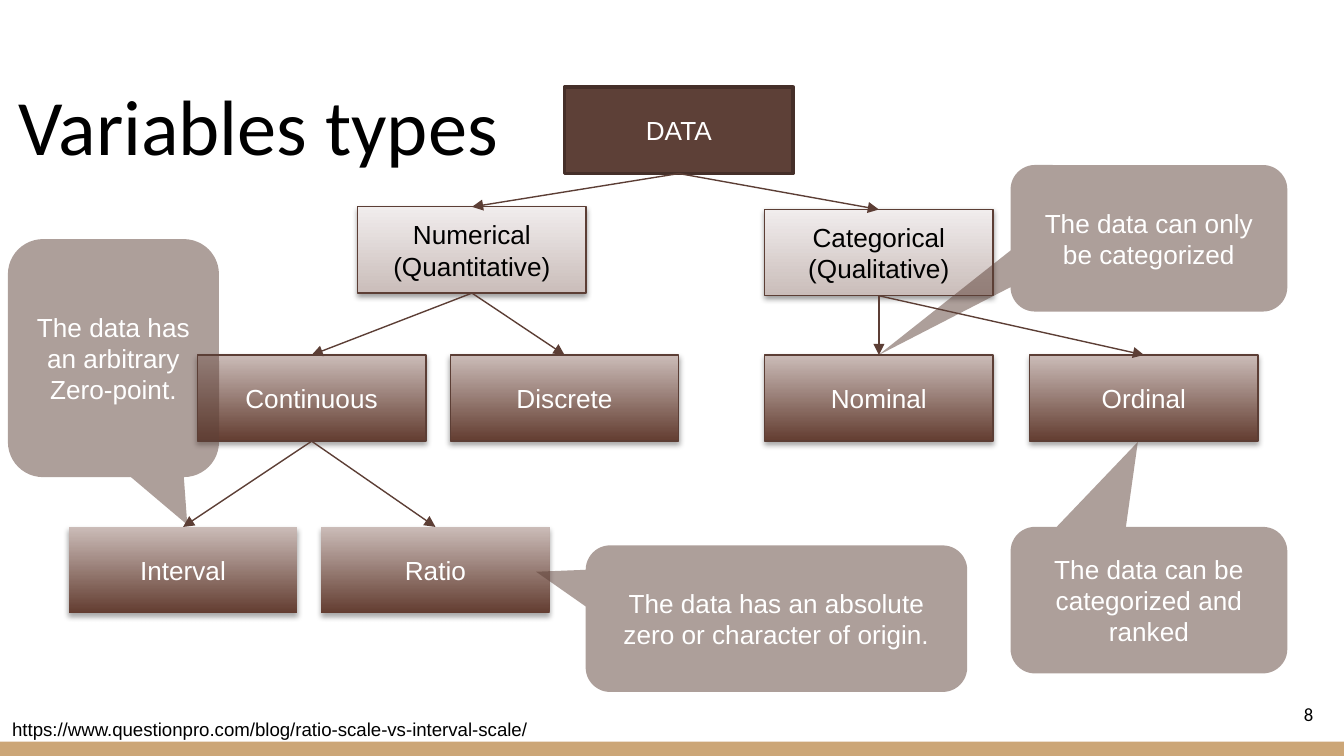
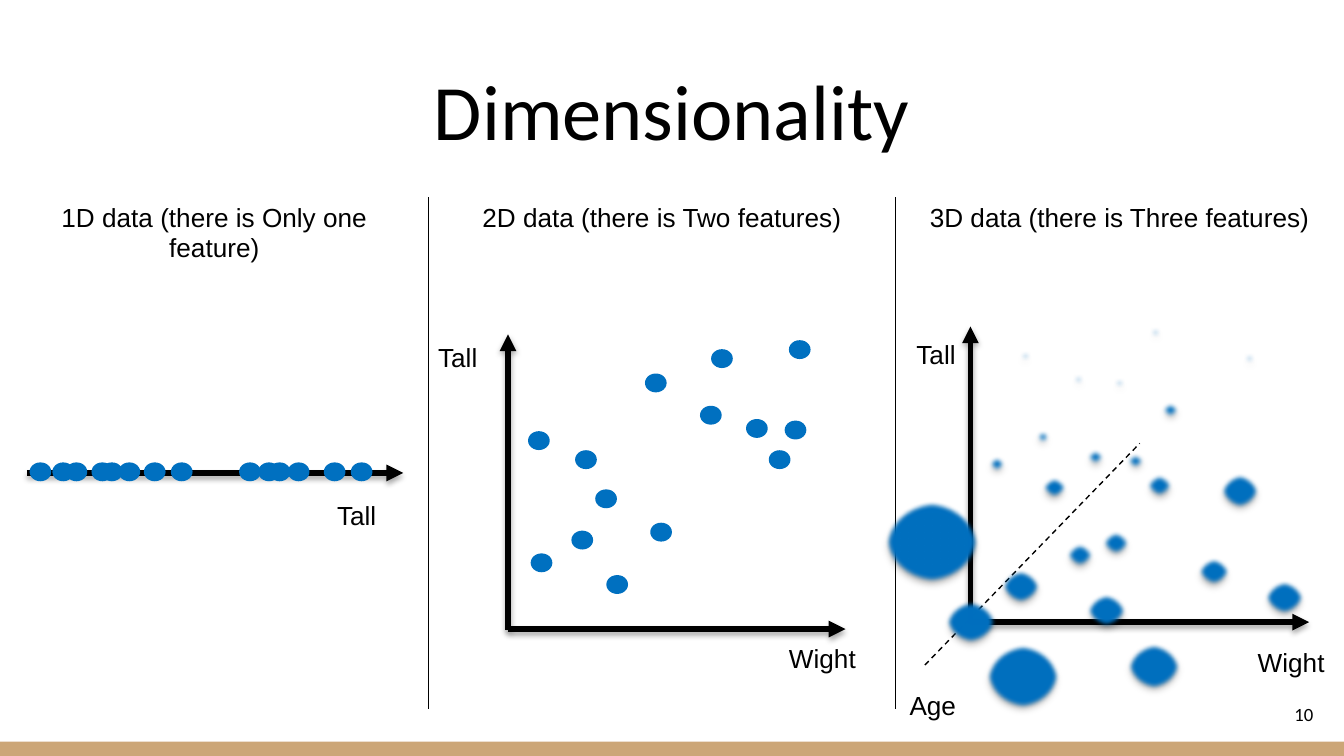
import pptx
import pptx.dml.color
import pptx.enum.dml
import pptx.enum.shapes
import pptx.enum.text
import pptx.oxml
import pptx.oxml.ns
import pptx.util
from lxml import etree

Cm = pptx.util.Cm
Pt = pptx.util.Pt
qn = pptx.oxml.ns.qn
SHAPE = pptx.enum.shapes.MSO_SHAPE
STRAIGHT = pptx.enum.shapes.MSO_CONNECTOR.STRAIGHT
ALIGN = pptx.enum.text.PP_ALIGN
ANCHOR = pptx.enum.text.MSO_ANCHOR

BLACK, WHITE = "000000", "FFFFFF"
BROWN, DARK_BROWN, EDGE = "5D4037", "452F29", "5C3E35"
BAND, DOT_BLUE = "CCA677", "0070C0"
PALE_GRADIENT = ("CABDBA", "F1EDED")
DARK_GRADIENT = ("633D31", "CBBCB8")
NO_TABLE_STYLE = "{2D5ABB26-0587-4C30-8999-92F81FD0307C}"

BOX_W, BOX_H = 4.32, 1.63
DOT_W, DOT_RATIO = 0.41, 0.87

# name: (text, left, top, gradient, outlined)
BOXES = {
    "numerical": ("Numerical\v(Quantitative)", 6.76, 3.91, PALE_GRADIENT, True),
    "categorical": ("Categorical\v(Qualitative)", 14.45, 3.96, PALE_GRADIENT, True),
    "nominal": ("Nominal", 14.45, 6.71, DARK_GRADIENT, True),
    "discrete": ("Discrete", 8.51, 6.71, DARK_GRADIENT, True),
    "interval": ("Interval", 1.3, 9.96, DARK_GRADIENT, False),
    "ordinal": ("Ordinal", 19.46, 6.71, DARK_GRADIENT, True),
    "continuous": ("Continuous", 3.73, 6.71, DARK_GRADIENT, True),
    "ratio": ("Ratio", 6.07, 9.96, DARK_GRADIENT, False),
}
CHILDREN = {
    "data": ("numerical", "categorical"),
    "numerical": ("continuous", "discrete"),
    "categorical": ("nominal", "ordinal"),
    "continuous": ("interval", "ratio"),
}
# text, (left, top, width, height), pointer offset
CALLOUTS = [
    ("The data can only be categorized", (19.1, 3.12, 5.23, 2.77), (-0.98, 0.8)),
    ("The data can be categorized and ranked", (19.1, 9.96, 5.23, 2.77), (-0.04, -1.08)),
    ("The data has an absolute zero or character of origin.",
     (11.07, 10.31, 7.21, 2.77), (-0.63, -0.32)),
    ("The data has an arbitrary Zero-point.", (0.15, 4.52, 3.99, 4.5), (0.35, 0.7)),
]

HEADINGS = [
    "1D data (there is Only one feature)",
    "2D data (there is Two features)",
    "3D data (there is Three features)",
]
DOTS_1D = [0.56, 0.99, 1.24, 1.73, 1.91, 2.24, 2.72,
           3.23, 4.52, 4.88, 5.08, 5.44, 6.12, 6.63]
DOTS_2D = [
    (10.8, 10.03), (12.29, 9.88), (10.87, 8.51), (11.25, 9.25), (11.46, 10.87),
    (10.03, 10.46), (9.98, 8.15), (14.1, 7.92), (13.23, 7.67), (12.19, 7.06),
    (14.53, 8.51), (14.83, 7.95), (13.44, 6.6), (14.91, 6.43),
]
# left, top, width: nearer dots are larger
DOTS_3D = [
    (20.5, 8.46, 0.41), (19.53, 8.1, 0.36), (21.92, 7.57, 0.41), (21.26, 8.53, 0.41),
    (19.66, 8.99, 0.53), (20.24, 7.04, 0.3), (18.64, 8.59, 0.41), (19.23, 6.6, 0.3),
    (21.69, 6.15, 0.3), (21.64, 8.94, 0.56), (21.01, 7.11, 0.3), (23.47, 6.65, 0.3),
    (18.9, 10.74, 0.79), (23.04, 8.94, 0.79), (20.52, 11.2, 0.79), (20.8, 10.01, 0.58),
    (23.88, 10.95, 0.79), (20.12, 10.24, 0.58), (22.61, 10.52, 0.66), (16.71, 9.47, 1.8),
    (17.86, 11.33, 0.99), (18.62, 12.17, 1.42), (21.29, 12.14, 1.04),
]
AXIS_LABELS = [("Wight", 14.66, 12.01), ("Tall", 6.12, 9.32), ("Tall", 8.03, 6.32),
               ("Tall", 17.07, 6.27), ("Wight", 23.52, 12.09), ("Age", 16.94, 12.9)]


def rgb(color):
    return pptx.dml.color.RGBColor.from_string(color)


def child(parent, tag, **attrs):
    return etree.SubElement(parent, qn(tag), {k: str(v) for k, v in attrs.items()})


def write(tf, text, size=14, color=BLACK, font="Arial", align=ALIGN.LEFT):
    tf.text = text
    for p in tf.paragraphs:
        p.alignment = align
        for r in p.runs:
            r.font.size = Pt(size)
            r.font.name = font
            r.font.color.rgb = rgb(color)


def set_insets(tf, inset):
    tf.margin_left = tf.margin_right = tf.margin_top = tf.margin_bottom = Cm(inset)


def add_shadow(sp, alpha, blur, dist):
    """Drop a soft shadow straight down; alpha in percent, lengths in points."""
    effects = sp._element.spPr.find(qn("a:effectLst"))
    shadow = child(effects, "a:outerShdw", blurRad=Pt(blur), dist=Pt(dist),
                   dir=5400000, rotWithShape=0)
    child(child(shadow, "a:srgbClr", val=BLACK), "a:alpha", val=alpha * 1000)


def add_shape(shapes, kind, left, top, width, height, fill=None, line=None, weight=0.75):
    sp = shapes.add_shape(kind, Cm(left), Cm(top), Cm(width), Cm(height))
    sp.shadow.inherit = False
    if fill:
        sp.fill.solid()
        sp.fill.fore_color.rgb = rgb(fill)
    if line:
        sp.line.color.rgb = rgb(line)
        sp.line.width = Pt(weight)
    else:
        sp.line.fill.background()
    return sp


def label_shape(sp, text, color=WHITE):
    tf = sp.text_frame
    tf.word_wrap = True
    tf.vertical_anchor = ANCHOR.MIDDLE
    write(tf, text, color=color, align=ALIGN.CENTER)


def add_text(shapes, text, left, top, width, height, **style):
    tf = shapes.add_textbox(Cm(left), Cm(top), Cm(width), Cm(height)).text_frame
    tf.word_wrap = True
    write(tf, text, **style)
    return tf


def add_line(shapes, start, end, color, weight, arrow=True):
    cx = shapes.add_connector(STRAIGHT, *(Cm(v) for v in start + end))
    cx.line.color.rgb = rgb(color)
    cx.line.width = Pt(weight)
    if arrow:
        child(cx.line._get_or_add_ln(), "a:tailEnd", type="triangle")
    child(cx._element.spPr, "a:effectLst")
    return cx


def add_axis(shapes, start, end):
    add_shadow(add_line(shapes, start, end, BLACK, 3), 35, 3.1, 1.8)


def add_box(shapes, text, left, top, gradient, outlined):
    sp = add_shape(shapes, SHAPE.RECTANGLE, left, top, BOX_W, BOX_H,
                   line=EDGE if outlined else None)
    sp.fill.gradient()
    sp.fill.gradient_angle = 90
    for stop, color in zip(sp.fill.gradient_stops, gradient):
        stop.color.rgb = rgb(color)
    pale = gradient == PALE_GRADIENT
    add_shadow(sp, 38 if pale else 35, 3.1, 1.6 if pale else 1.8)
    label_shape(sp, text, BLACK if pale else WHITE)
    return sp


def add_callout(shapes, text, bounds, pointer):
    sp = add_shape(shapes, SHAPE.ROUNDED_RECTANGULAR_CALLOUT, *bounds, fill=BROWN)
    sp.adjustments[0], sp.adjustments[1] = pointer
    color = sp._element.spPr.find(qn("a:solidFill")).find(qn("a:srgbClr"))
    child(color, "a:alpha", val=50000)
    label_shape(sp, text)


def add_dot(shapes, left, top, width=DOT_W):
    return add_shape(shapes, SHAPE.OVAL, left, top, width, width * DOT_RATIO, fill=DOT_BLUE)


def add_soft_dot(shapes, left, top, width):
    sp = add_dot(shapes, left, top, width)
    add_shadow(sp, 32, 3.5, 2.2)
    child(sp._element.spPr.find(qn("a:effectLst")), "a:softEdge", rad=Pt(2.5))


def add_cell_border(cell, side):
    ln = etree.Element(qn("a:ln" + side), w=str(Pt(1)))
    child(child(ln, "a:solidFill"), "a:srgbClr", val=BLACK)
    cell._tc.get_or_add_tcPr().insert(0, ln)


def add_columns_table(shapes):
    frame = shapes.add_table(2, 3, Cm(0), Cm(3.73), Cm(25.4), Cm(9.68))
    for style in frame._element.iter(qn("a:tableStyleId")):
        style.text = NO_TABLE_STYLE
    table = frame.table
    table.first_row = table.horz_banding = False
    for column, width in zip(table.columns, (8.1, 8.82, 8.48)):
        column.width = Cm(width)
    for row, height in zip(table.rows, (1.8, 7.88)):
        row.height = Cm(height)
        for i, cell in enumerate(row.cells):
            cell.fill.background()
            if i < 2:
                add_cell_border(cell, "R")
            if i > 0:
                add_cell_border(cell, "L")
    for cell, heading in zip(table.rows[0].cells, HEADINGS):
        write(cell.text_frame, heading, align=ALIGN.CENTER)


def add_slide(prs, title, left, top, width):
    """Add a slide with its band and title placeholder."""
    slide = prs.slides.add_slide(prs.slide_layouts[5])
    add_shape(slide.shapes, SHAPE.RECTANGLE, 0, 14.02, 25.4, 0.27, fill=BAND)
    sp = slide.shapes.title
    sp.left, sp.top, sp.width, sp.height = Cm(left), Cm(top), Cm(width), Cm(2.31)
    tf = sp.text_frame
    tf.auto_size = pptx.enum.text.MSO_AUTO_SIZE.NONE
    tf.vertical_anchor = ANCHOR.BOTTOM
    set_insets(tf, 0.25)
    write(tf, title, size=42, font="Calibri", align=ALIGN.CENTER)
    return slide


def add_page_number(shapes, number):
    tf = add_text(shapes, number, 23.55, 12.95, 1.52, 1.09,
                  size=10, font="Calibri", align=ALIGN.RIGHT)
    tf.vertical_anchor = ANCHOR.MIDDLE
    set_insets(tf, 0.25)


def build_variable_types(prs):
    shapes = add_slide(prs, "Variables types", -0.02, 1.17, 9.8).shapes
    root = add_shape(shapes, SHAPE.RECTANGLE, 10.67, 1.65, BOX_W, BOX_H,
                     fill=BROWN, line=DARK_BROWN, weight=2)
    label_shape(root, "DATA")
    nodes = {"data": root}
    for name, box in BOXES.items():
        nodes[name] = add_box(shapes, *box)
    for parent, names in CHILDREN.items():
        for name in names:
            cx = add_line(shapes, (0, 0), (1, 1), EDGE, 0.75)
            cx.begin_connect(nodes[parent], 2)
            cx.end_connect(nodes[name], 0)
    for callout in CALLOUTS:
        add_callout(shapes, *callout)
    add_text(shapes, "https://www.questionpro.com/blog/ratio-scale-vs-interval-scale/",
             -0.02, 13.44, 12.52, 0.69, size=10)
    add_page_number(shapes, "8")


def build_dimensionality(prs):
    shapes = add_slide(prs, "Dimensionality", 0.86, 0.89, 23.67).shapes
    add_columns_table(shapes)

    line_plot = shapes.add_group_shape().shapes
    add_axis(line_plot, (0.51, 8.94), (7.62, 8.94))
    for left in DOTS_1D:
        add_dot(line_plot, left, 8.74)

    flat_plot = shapes.add_group_shape().shapes
    add_axis(flat_plot, (9.6, 11.91), (9.6, 6.32))
    add_axis(flat_plot, (9.6, 11.89), (15.98, 11.89))
    for dot in DOTS_2D:
        add_dot(flat_plot, *dot)

    depth_plot = shapes.add_group_shape().shapes
    add_axis(depth_plot, (18.34, 11.79), (18.34, 6.17))
    add_axis(depth_plot, (18.34, 11.76), (24.74, 11.76))
    age_axis = add_line(depth_plot, (17.48, 12.57), (21.54, 8.38), BLACK, 0.75, arrow=False)
    age_axis.line.dash_style = pptx.enum.dml.MSO_LINE.DASH
    for dot in DOTS_3D:
        add_soft_dot(depth_plot, *dot)

    for text, left, top in AXIS_LABELS:
        add_text(shapes, text, left, top, 1.85, 0.89)
    add_page_number(shapes, "10")


def main():
    prs = pptx.Presentation()
    prs.slide_width, prs.slide_height = Cm(25.4), Cm(14.29)
    build_variable_types(prs)
    build_dimensionality(prs)
    prs.save("out.pptx")


if __name__ == "__main__":
    main()
